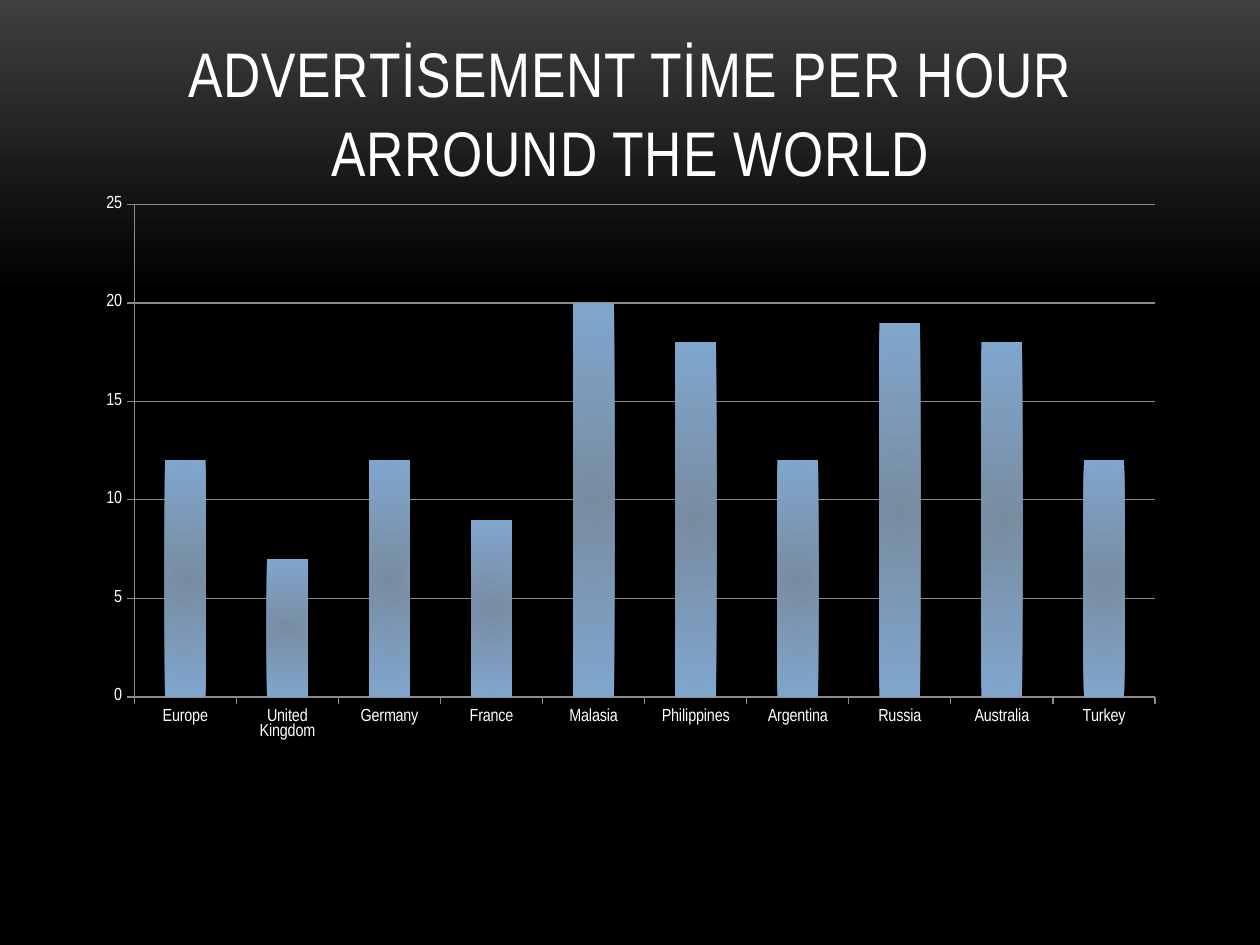
from lxml.etree import SubElement
from pptx import Presentation
from pptx.chart.data import CategoryChartData
from pptx.dml.color import RGBColor
from pptx.enum.chart import XL_CHART_TYPE as ChartType, XL_TICK_MARK as TickMark
from pptx.enum.text import MSO_ANCHOR as Anchor, PP_ALIGN as Align
from pptx.oxml.ns import qn
from pptx.util import Inches, Pt

WIDTH, HEIGHT = Inches(10), Inches(7.5)
FONT = "Arial Narrow"
COLORS = {"glow": "3F3F3F", "back": "000000", "text": "FFFFFF",
          "line": "8B8B8B", "bar_core": "788CA0", "bar_edge": "80A6CE"}
TITLE = "Advertisement Time Per Hour Arround The World"
MINUTES = {"Europe": 12, "United Kingdom": 7, "Germany": 12, "France": 9,
           "Malasia": 20, "Philippines": 18, "Argentina": 12, "Russia": 19,
           "Australia": 18, "Turkey": 12}


def color(name):
    """Return the palette colour with this name."""
    return RGBColor.from_string(COLORS[name])


def apply(target, **values):
    """Set each given attribute on the target."""
    for name, value in values.items():
        setattr(target, name, value)


def box(left, top, width, height):
    """Turn shares of the slide's size into lengths."""
    return (int(left * WIDTH), int(top * HEIGHT),
            int(width * WIDTH), int(height * HEIGHT))


def set_gradient(fill, stops):
    """Give the fill a gradient with two (colour name, position) stops."""
    fill.gradient()
    for stop, (name, position) in zip(fill.gradient_stops, stops):
        stop.color.rgb = color(name)
        stop.position = position


def add_title(slide):
    """Place and format the title placeholder."""
    title = slide.shapes.title
    left, top, width, height = box(0.067, 0.04, 0.867, 0.167)
    apply(title, left=left, top=top, width=width, height=height)
    frame = title.text_frame
    apply(frame, word_wrap=True, vertical_anchor=Anchor.BOTTOM)
    paragraph = frame.paragraphs[0]
    apply(paragraph, alignment=Align.CENTER, line_spacing=1.05)
    run = paragraph.add_run()
    run.text = TITLE
    apply(run.font, name=FONT, size=Pt(36))
    run.font.color.rgb = color("text")
    for name, value in {"lang": "tr-TR", "cap": "all", "spc": "50"}.items():
        run.font._element.set(name, value)


def format_axis(axis):
    """Set the ticks and line of an axis."""
    apply(axis, major_tick_mark=TickMark.OUTSIDE, minor_tick_mark=TickMark.NONE)
    apply(axis.format.line, width=Pt(0.75))
    axis.format.line.color.rgb = color("line")


def format_bars(plot):
    """Fill the bars with a gradient that spreads from the centre."""
    apply(plot, gap_width=150, vary_by_categories=False)
    series = plot.series[0]
    series.invert_if_negative = False
    fill = series.format.fill
    set_gradient(fill, [("bar_core", 0), ("bar_edge", 1)])
    gradient = series._element.find(".//" + qn("a:gradFill"))
    gradient.remove(gradient.find(qn("a:lin")))
    spread = SubElement(gradient, qn("a:path"), {"path": "circle"})
    SubElement(spread, qn("a:fillToRect"), dict.fromkeys("ltrb", "50000"))


def add_minutes_chart(slide):
    """Add the column chart of advertisement minutes."""
    data = CategoryChartData()
    data.categories = list(MINUTES)
    data.add_series("Series 1", list(MINUTES.values()))
    chart = slide.shapes.add_chart(ChartType.COLUMN_CLUSTERED,
                                   *box(0.067, 0.196, 0.867, 0.6), data).chart
    apply(chart, has_legend=False, has_title=False)
    apply(chart.font, name=FONT, size=Pt(10))
    chart.font.color.rgb = color("text")
    for axis in (chart.category_axis, chart.value_axis):
        format_axis(axis)
    apply(chart.value_axis, minimum_scale=0, maximum_scale=25, major_unit=5,
          has_major_gridlines=True)
    grid_line = chart.value_axis.major_gridlines.format.line
    grid_line.color.rgb = color("line")
    grid_line.width = Pt(0.75)
    format_bars(chart.plots[0])


def main():
    """Build and save the slide."""
    presentation = Presentation()
    apply(presentation, slide_width=WIDTH, slide_height=HEIGHT)
    slide = presentation.slides.add_slide(presentation.slide_layouts[5])
    background = slide.background.fill
    set_gradient(background, [("glow", 0), ("back", 0.31)])
    background.gradient_angle = 270
    add_title(slide)
    add_minutes_chart(slide)
    presentation.save("out.pptx")


main()
